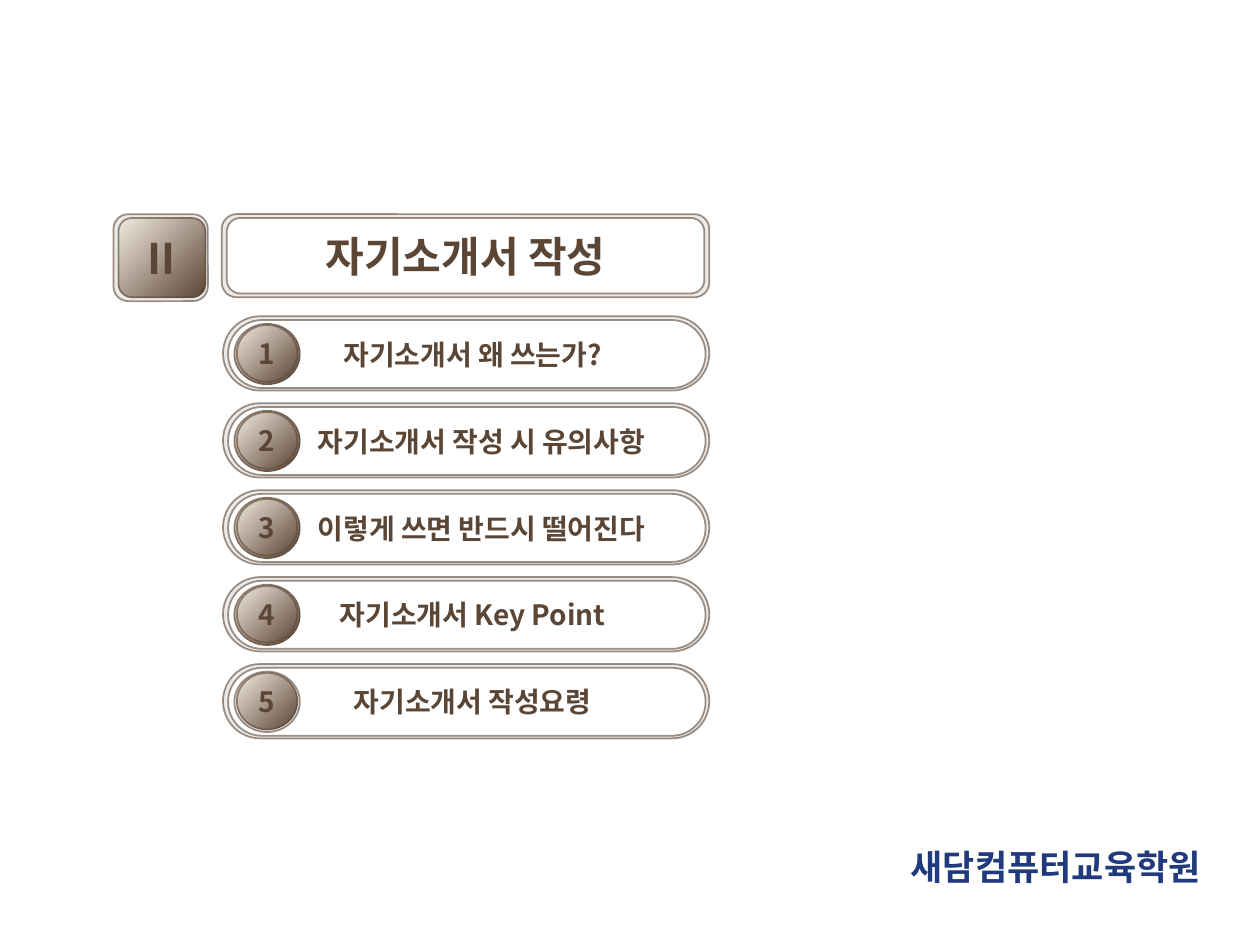
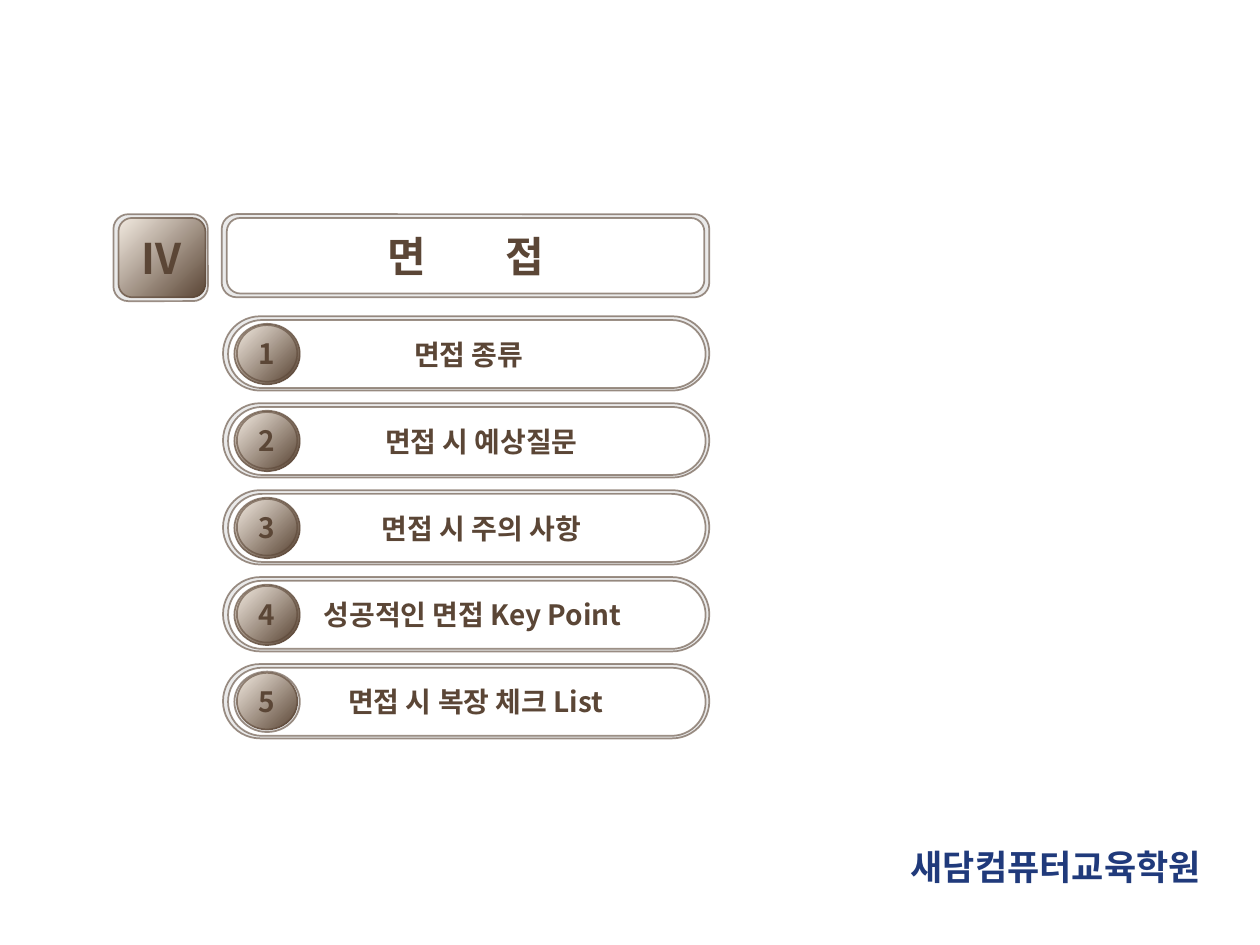
from pptx import Presentation
from pptx.dml.color import RGBColor
from pptx.enum.shapes import MSO_SHAPE as Preset
from pptx.enum.text import MSO_ANCHOR as Anchor, PP_ALIGN as Align
from pptx.oxml.ns import qn
from pptx.util import Inches, Pt
from lxml.etree import SubElement

FONT = "Noto Sans CJK KR"
BROWN, CREAM, SILVER, WHITE, NAVY = "5B4636", "F3EBE1", "EAEAEA", "FFFFFF", "203A7B"
GRADIENT = (CREAM, BROWN)
hex_color = RGBColor.from_string


def add_plate(page, preset, place, fill, corner=None):
    plate = page.shapes.add_shape(preset, *map(Inches, place))
    plate.shadow.inherit = False
    if corner is not None:
        plate.adjustments[0] = corner
    if fill == GRADIENT:
        plate.fill.gradient()
        plate.fill.gradient_angle = 315
        for stop, color, position in zip(plate.fill.gradient_stops, fill, (0, 1)):
            stop.color.rgb = hex_color(color)
            stop.position = position
    else:
        plate.fill.solid()
        plate.fill.fore_color.rgb = hex_color(fill)
    plate.line.width = Pt(1)
    plate.line.color.rgb = hex_color(BROWN)
    line_color = plate.line._get_or_add_ln().find(".//" + qn("a:srgbClr"))
    SubElement(line_color, qn("a:alpha"), val="60000")
    return plate


def write(box, parts, size, color=BROWN, align=Align.CENTER, indent=0):
    frame = box.text_frame
    frame.word_wrap = False
    frame.vertical_anchor = Anchor.MIDDLE
    frame.margin_left = Inches(0.1 + indent)
    para = frame.paragraphs[0]
    para.alignment = align
    for part in parts:
        span = para.add_run()
        span.text = part
        span.font.name = FONT
        span.font.size = Pt(size)
        span.font.bold = True
        span.font.color.rgb = hex_color(color)
        SubElement(span.font._element, qn("a:ea"), typeface=FONT)
        if part == " ":
            span.font._element.set("spc", "4000")


chapters = [
    ("Ⅱ", ["자기소개서 작성"], [
        ("자기소개서 왜 쓰는가?", 0.09),
        ("자기소개서 작성 시 유의사항", 0.23),
        ("이렇게 쓰면 반드시 떨어진다", 0.23),
        ("자기소개서 Key Point", 0.09),
        ("자기소개서 작성요령", 0.09),
    ]),
    ("Ⅳ", ["면", " ", "접"], [
        ("면접 종류", 0.03),
        ("면접 시 예상질문", 0.23),
        ("면접 시 주의 사항", 0.23),
        ("성공적인 면접 Key Point", 0.09),
        ("면접 시 복장 체크 List", 0.14),
    ]),
]

deck = Presentation()
deck.slide_width, deck.slide_height = Inches(10), Inches(7.5)

for numeral, title_parts, topics in chapters:
    page = deck.slides.add_slide(deck.slide_layouts[6])

    footer = page.shapes.add_textbox(Inches(7.13), Inches(6.65), Inches(2.6), Inches(0.46))
    footer.text_frame.margin_right = 0
    write(footer, ["새담컴퓨터교육학원"], 20, NAVY, Align.LEFT)

    add_plate(page, Preset.ROUNDED_RECTANGLE, (1.76, 1.7, 3.87, 0.66), SILVER, 0.18)
    title_plate = add_plate(page, Preset.ROUNDED_RECTANGLE, (1.8, 1.73, 3.79, 0.6), WHITE, 0.18)
    write(title_plate, title_parts, 24)

    add_plate(page, Preset.ROUNDED_RECTANGLE, (0.9, 1.7, 0.75, 0.69), SILVER, 0.17)
    numeral_plate = add_plate(page, Preset.ROUNDED_RECTANGLE, (0.94, 1.73, 0.69, 0.63), GRADIENT, 0.17)
    write(numeral_plate, [numeral], 24)

    for number, (topic, indent) in enumerate(topics, 1):
        top = 2.51 + 0.69 * (number - 1)
        add_plate(page, Preset.ROUNDED_RECTANGLE, (1.77, top, 3.86, 0.59), SILVER, 0.5)
        pill = add_plate(page, Preset.ROUNDED_RECTANGLE, (1.81, top + 0.03, 3.79, 0.54), WHITE, 0.5)
        write(pill, [topic], 16, indent=indent)
        ring_fill = SILVER if number == len(topics) else GRADIENT
        add_plate(page, Preset.OVAL, (1.86, top + 0.06, 0.52, 0.48), ring_fill)
        badge = add_plate(page, Preset.OVAL, (1.88, top + 0.07, 0.48, 0.45), GRADIENT)
        write(badge, [str(number)], 16)

deck.save("out.pptx")
